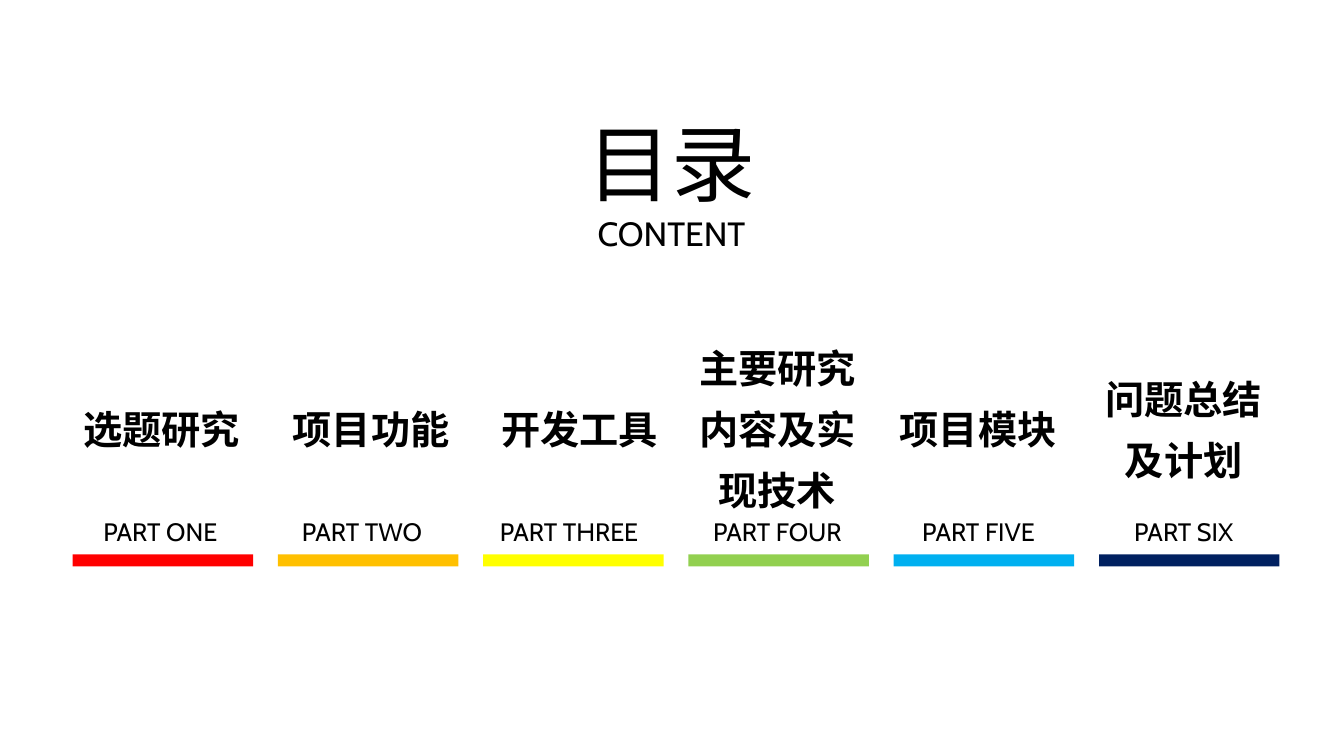
from math import ceil

from pptx import Presentation
from pptx.dml.color import RGBColor
from pptx.enum import shapes, text
from pptx.util import Inches, Pt

FONT = "Cabin"
TITLE = [("目录", 60), ("CONTENT", 24)]
# heading, heading left, label, label left, label width, bar colour
PARTS = [
    ("选题研究", 0.64, "PART ONE", 0.79, 1.6, "FF0000"),
    ("项目功能", 2.72, "PART TWO", 2.72, 1.74, "FFC000"),
    ("开发工具", 4.79, "PART THREE", 4.71, 1.87, "FFFF00"),
    ("主要研究内容及实现技术", 6.75, "PART FOUR", 6.94, 1.54, "92D050"),
    ("项目模块", 8.74, "PART FIVE", 9.04, 1.33, "00B0F0"),
    ("问题总结及计划", 10.78, "PART SIX", 11.07, 1.34, "002060"),
]
HEADING_WIDTH, HEADING_MIDDLE, HEADING_LINE = 1.92, 4.19, 0.61
CHARS_PER_LINE = 4
LABEL_TOP, LABEL_HEIGHT = 4.98, 0.49
BAR_LEFT, BAR_TOP, BAR_WIDTH, BAR_HEIGHT = 0.72, 5.5, 1.79, 0.12
BAR_STEP = 2.036


def colour(value):
    return RGBColor.from_string(value)


def write(para, words, size, bold=False, spacing=1.0):
    para.alignment = text.PP_ALIGN.CENTER
    para.line_spacing = spacing
    span = para.add_run()
    span.text = words
    span.font.name = FONT
    span.font.size = Pt(size)
    span.font.bold = bold
    span.font.color.rgb = colour("000000")


def add_text(page, words, left, top, width, height, **style):
    box = page.shapes.add_textbox(Inches(left), Inches(top), Inches(width), Inches(height))
    box.text_frame.word_wrap = True
    write(box.text_frame.paragraphs[0], words, spacing=1.3, **style)


def add_title(page):
    title = page.shapes.title
    title.left, title.top = Inches(5.72), Inches(1.06)
    title.width, title.height = Inches(1.88), Inches(1.51)
    frame = title.text_frame
    frame.word_wrap = False
    frame.auto_size = text.MSO_AUTO_SIZE.SHAPE_TO_FIT_TEXT
    frame.vertical_anchor = text.MSO_ANCHOR.TOP
    for index, (words, size) in enumerate(TITLE):
        para = frame.add_paragraph() if index else frame.paragraphs[0]
        write(para, words, size)


def add_bar(page, index, fill):
    bar = page.shapes.add_shape(
        shapes.MSO_SHAPE.RECTANGLE,
        Inches(BAR_LEFT + index * BAR_STEP), Inches(BAR_TOP),
        Inches(BAR_WIDTH), Inches(BAR_HEIGHT),
    )
    bar.shadow.inherit = False
    bar.fill.solid()
    bar.fill.fore_color.rgb = colour(fill)
    bar.line.fill.background()


def main():
    deck = Presentation()
    deck.slide_width, deck.slide_height = Inches(13.33), Inches(7.5)
    page = deck.slides.add_slide(deck.slide_layouts[5])
    add_title(page)
    for index, (heading, heading_left, label, label_left, label_width, fill) in enumerate(PARTS):
        height = 0.1 + HEADING_LINE * ceil(len(heading) / CHARS_PER_LINE)
        add_text(page, label, label_left, LABEL_TOP, label_width, LABEL_HEIGHT, size=18)
        add_text(page, heading, heading_left, HEADING_MIDDLE - height / 2,
                 HEADING_WIDTH, height, size=28, bold=True)
        add_bar(page, index, fill)
    deck.save("out.pptx")


if __name__ == "__main__":
    main()
